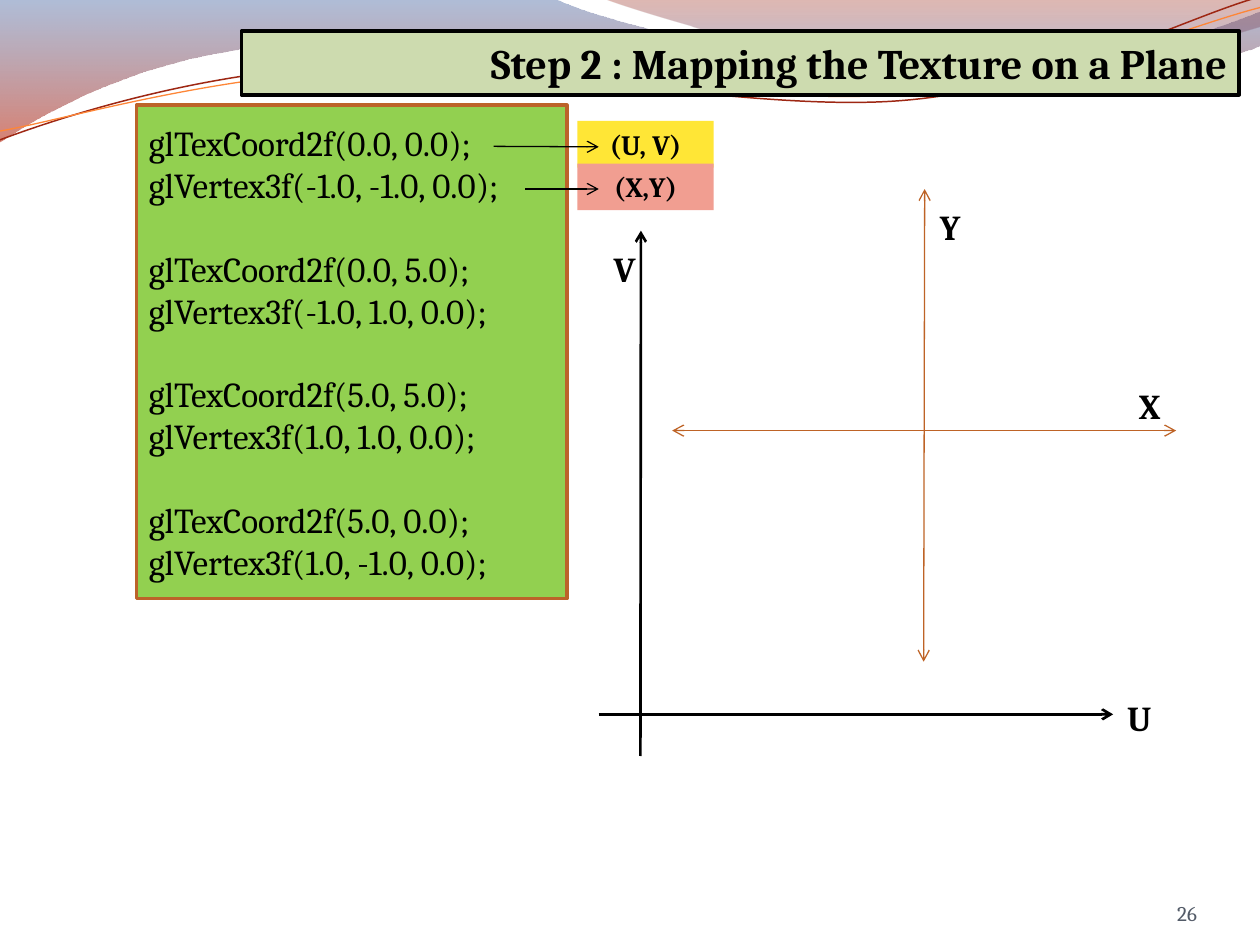
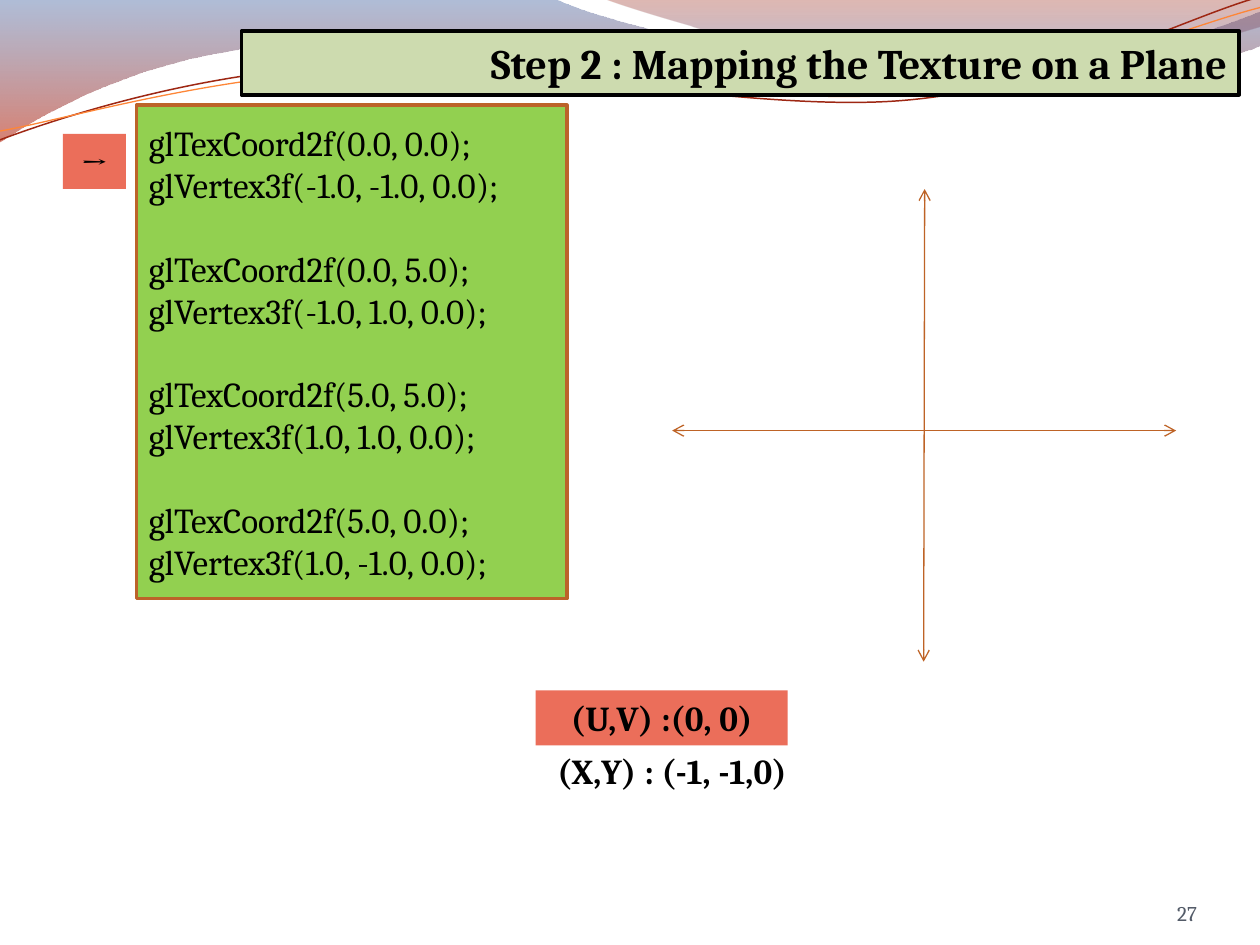
from math import cos, radians, sin

from lxml import etree
from pptx import Presentation, util as u
from pptx.dml.color import RGBColor
from pptx.enum import shapes, text
from pptx.oxml import parse_xml
from pptx.oxml.ns import nsdecls, qn

BLACK = RGBColor(0x00, 0x00, 0x00)
SAGE = RGBColor(0xCD, 0xDB, 0xAF)
GREEN = RGBColor(0x92, 0xD0, 0x50)
RUST = RGBColor(0xBC, 0x63, 0x29)
AXIS_RUST = RGBColor(0xBE, 0x63, 0x26)
YELLOW = RGBColor(0xFF, 0xE6, 0x36)
PINK = RGBColor(0xF1, 0x9E, 0x91)
CORAL = RGBColor(0xEB, 0x6E, 0x5A)
SLATE = RGBColor(0x53, 0x5B, 0x68)
DARK_RED = RGBColor(0x9E, 0x27, 0x13)
ORANGE = RGBColor(0xFE, 0x86, 0x37)
FONT = "Cambria"

TITLE = "Step 2 : Mapping the Texture on a Plane"
CODE = [
    ("glTexCoord2f(0.0, 0.0);", "glVertex3f(-1.0, -1.0, 0.0);"),
    ("glTexCoord2f(0.0, 5.0);", "glVertex3f(-1.0, 1.0, 0.0);"),
    ("glTexCoord2f(5.0, 5.0);", "glVertex3f(1.0, 1.0, 0.0);"),
    ("glTexCoord2f(5.0, 0.0);", "glVertex3f(1.0, -1.0, 0.0);"),
]
CODE_LINE = u.Pt(23.8)

# Boxes are (left, top, width, height) and lines (x1, y1, x2, y2), all in cm.
PLANE_AXES = [(18.64, 3.81, 18.62, 13.34), (13.55, 8.68, 23.71, 8.68)]
TEXTURE_AXES = [(12.07, 14.4, 22.44, 14.4), (12.91, 15.24, 12.92, 4.65)]
POINTERS = [(9.95, 2.95, 12.07, 2.96), (10.59, 3.81, 12.07, 3.81)]
AXIS_LABELS = [("X", 22.01, 7.62), ("Y", 17.99, 4.02), ("U", 21.8, 13.92), ("V", 11.43, 4.87)]
COORD_TAGS = [("(U, V)", YELLOW, 2.44), ("(X,Y)", PINK, 3.3)]
STEP_LABELS = [
    ("→", (1.27, 2.7, 1.27, 1.11), CORAL),
    ("(X,Y) : (-1, -1,0)", (10.8, 14.98, 5.5, 1.11), None),
    ("(U,V) :(0, 0)", (10.8, 13.92, 5.08, 1.11), CORAL),
]

# Waves on a grid of ten units across the slide: a single point ends a
# straight piece, three points (two handles and an end) a curve.
WAVE_UNIT = u.Cm(2.54)
BANDS = [
    ([("4F6EA8", 0, 45), ("B61A00", 100, 55)],
     [[(0, 0)], [(4.4, -0.01)],
      [(4.76, 0.17), (6.64, 0.63), (7.58, 0.63)], [(8.53, 0.63), (9.58, 0.26), (10, 0.09)],
      [(10.01, 0.36)],
      [(9.83, 0.44), (8.7, 0.76), (7.46, 0.75)], [(6.22, 0.75), (3.82, 0.28), (2.57, 0.34)],
      [(1.29, 0.36), (0.46, 0.83), (-0.01, 1.13)], [(0, 0)]]),
    ([("951500", 0, 30), ("5681D1", 80, 45)],
     [[(4.79, -0.01)],
      [(5.09, 0.11), (6.82, 0.62), (7.69, 0.65)], [(8.56, 0.69), (9.61, 0.32), (10, 0.21)],
      [(10, 0)], [(4.79, -0.01)]]),
]
STRAND_TILT = -2.7
STRAND_CENTRE = (4.99, 0.58)
STRANDS = [
    (DARK_RED, 0.85,
     [[(0, 1.11)],
      [(0.48, 0.93), (1.58, 0.57), (2.77, 0.52)], [(3.95, 0.47), (5.93, 0.89), (7.13, 0.8)],
      [(8.33, 0.71), (9.38, 0.15), (9.98, -0.02)]]),
    (ORANGE, 0.75,
     [[(0, 1.04)],
      [(0.47, 0.96), (1.64, 0.61), (2.83, 0.56)], [(4.03, 0.51), (5.97, 0.84), (7.17, 0.75)],
      [(8.36, 0.67), (9.41, 0.21), (10, 0.06)]]),
]


def cm(values):
    return [u.Cm(v) for v in values]


def level(point):
    """Undo the strands' tilt, which the shape's rotation puts back."""
    angle = radians(-STRAND_TILT)
    cx, cy = STRAND_CENTRE
    dx, dy = point[0] - cx, point[1] - cy
    return cx + dx * cos(angle) - dy * sin(angle), cy + dx * sin(angle) + dy * cos(angle)


def add_wave(slide, pieces, close):
    """Draw through all points, then join each group of three into a curve."""
    start, *rest = [(x * WAVE_UNIT, y * WAVE_UNIT) for piece in pieces for x, y in piece]
    builder = slide.shapes.build_freeform(*start)
    builder.add_line_segments(rest, close=close)
    wave = builder.convert_to_shape()
    wave.shadow.inherit = False
    segments = iter(list(wave._element.iter(qn("a:lnTo"))))
    for piece in pieces[1:]:
        group = [next(segments) for _ in piece]
        if len(group) == 3:
            curve = parse_xml(f'<a:cubicBezTo {nsdecls("a")}/>')
            group[0].addprevious(curve)
            for segment in group:
                curve.append(segment[0])
                segment.getparent().remove(segment)
    return wave


def fade_down(wave, stops):
    """Fill with a top-to-bottom gradient of (colour, position, opacity)."""
    marks = "".join(
        f'<a:gs pos="{pos * 1000}"><a:srgbClr val="{colour}">'
        f'<a:alpha val="{opacity * 1000}"/></a:srgbClr></a:gs>'
        for colour, pos, opacity in stops)
    gradient = parse_xml(f'<a:gradFill {nsdecls("a")}><a:gsLst>{marks}</a:gsLst>'
                         '<a:lin ang="5400000" scaled="0"/></a:gradFill>')
    wave.line.fill.background()
    wave._element.spPr.find(qn("a:custGeom")).addnext(gradient)


def add_waves(slide):
    for stops, pieces in BANDS:
        fade_down(add_wave(slide, pieces, True), stops)
    for colour, width, pieces in STRANDS:
        levelled = [[level(point) for point in piece] for piece in pieces]
        strand = add_wave(slide, levelled, False)
        strand.rotation = STRAND_TILT
        strand.fill.background()
        strand.line.color.rgb = colour
        strand.line.width = u.Pt(width)


def add_box(slide, box, fill=None, line=None, width=0):
    """Add a filled rectangle, or a text box when there is no fill."""
    if fill is None:
        part = slide.shapes.add_textbox(*cm(box))
    else:
        part = slide.shapes.add_shape(shapes.MSO_SHAPE.RECTANGLE, *cm(box))
        part.shadow.inherit = False
        part.fill.solid()
        part.fill.fore_color.rgb = fill
        if line is None:
            part.line.fill.background()
        else:
            part.line.color.rgb = line
            part.line.width = u.Pt(width)
    frame = part.text_frame
    frame.word_wrap = True
    frame.vertical_anchor = text.MSO_ANCHOR.TOP
    return frame


def write(paragraph, words, size, align=text.PP_ALIGN.CENTER, bold=True, colour=BLACK):
    paragraph.alignment = align
    run = paragraph.add_run()
    run.text = words
    run.font.name = FONT
    run.font.size = u.Pt(size)
    run.font.bold = bold
    run.font.color.rgb = colour


def add_label(slide, words, box, fill=None, size=20):
    write(add_box(slide, box, fill).paragraphs[0], words, size)


def add_arrow(slide, ends, colour=BLACK, width=0.75, both=False):
    arrow = slide.shapes.add_connector(shapes.MSO_CONNECTOR.STRAIGHT, *cm(ends))
    arrow.line.color.rgb = colour
    arrow.line.width = u.Pt(width)
    outline = arrow.line._get_or_add_ln()
    for tag in ("a:headEnd", "a:tailEnd") if both else ("a:tailEnd",):
        etree.SubElement(outline, qn(tag), type="arrow")
    etree.SubElement(arrow._element.spPr, qn("a:effectLst"))


def add_code(slide):
    frame = add_box(slide, (2.75, 2.12, 8.68, 9.95), GREEN, RUST, 2)
    frame.vertical_anchor = text.MSO_ANCHOR.MIDDLE
    for index, pair in enumerate(CODE):
        for call in pair:
            first = index == 0 and call == pair[0]
            paragraph = frame.paragraphs[0] if first else frame.add_paragraph()
            if index and call == pair[0]:
                paragraph.space_before = CODE_LINE
            write(paragraph, call, 20, text.PP_ALIGN.LEFT, bold=False)


def add_number(slide, number):
    frame = add_box(slide, (22.01, 17.66, 2.12, 1.01))
    frame.margin_left = frame.margin_right = frame.margin_top = frame.margin_bottom = 0
    frame.vertical_anchor = text.MSO_ANCHOR.BOTTOM
    write(frame.paragraphs[0], str(number), 12, text.PP_ALIGN.RIGHT, False, SLATE)


def add_mapping_slide(deck, number):
    """Add a slide with everything that both steps share."""
    slide = deck.slides.add_slide(deck.slide_layouts[6])
    add_waves(slide)
    title = add_box(slide, (4.87, 0.63, 20.11, 1.28), SAGE, BLACK, 2.25)
    write(title.paragraphs[0], TITLE, 24, text.PP_ALIGN.RIGHT)
    add_code(slide)
    add_number(slide, number)
    for axis in PLANE_AXES:
        add_arrow(slide, axis, AXIS_RUST, both=True)
    return slide


def main():
    deck = Presentation()
    deck.slide_width, deck.slide_height = cm((25.4, 19.05))

    axes = add_mapping_slide(deck, 26)
    for words, fill, top in COORD_TAGS:
        add_label(axes, words, (11.64, top, 2.75, 0.94), fill, 16)
    for pointer in POINTERS:
        add_arrow(axes, pointer)
    for axis in TEXTURE_AXES:
        add_arrow(axes, axis, width=1.5)
    for words, left, top in AXIS_LABELS:
        add_label(axes, words, (left, top, 2.33, 1.11))

    first_corner = add_mapping_slide(deck, 27)
    for words, box, fill in STEP_LABELS:
        add_label(first_corner, words, box, fill)

    deck.save("out.pptx")


if __name__ == "__main__":
    main()
